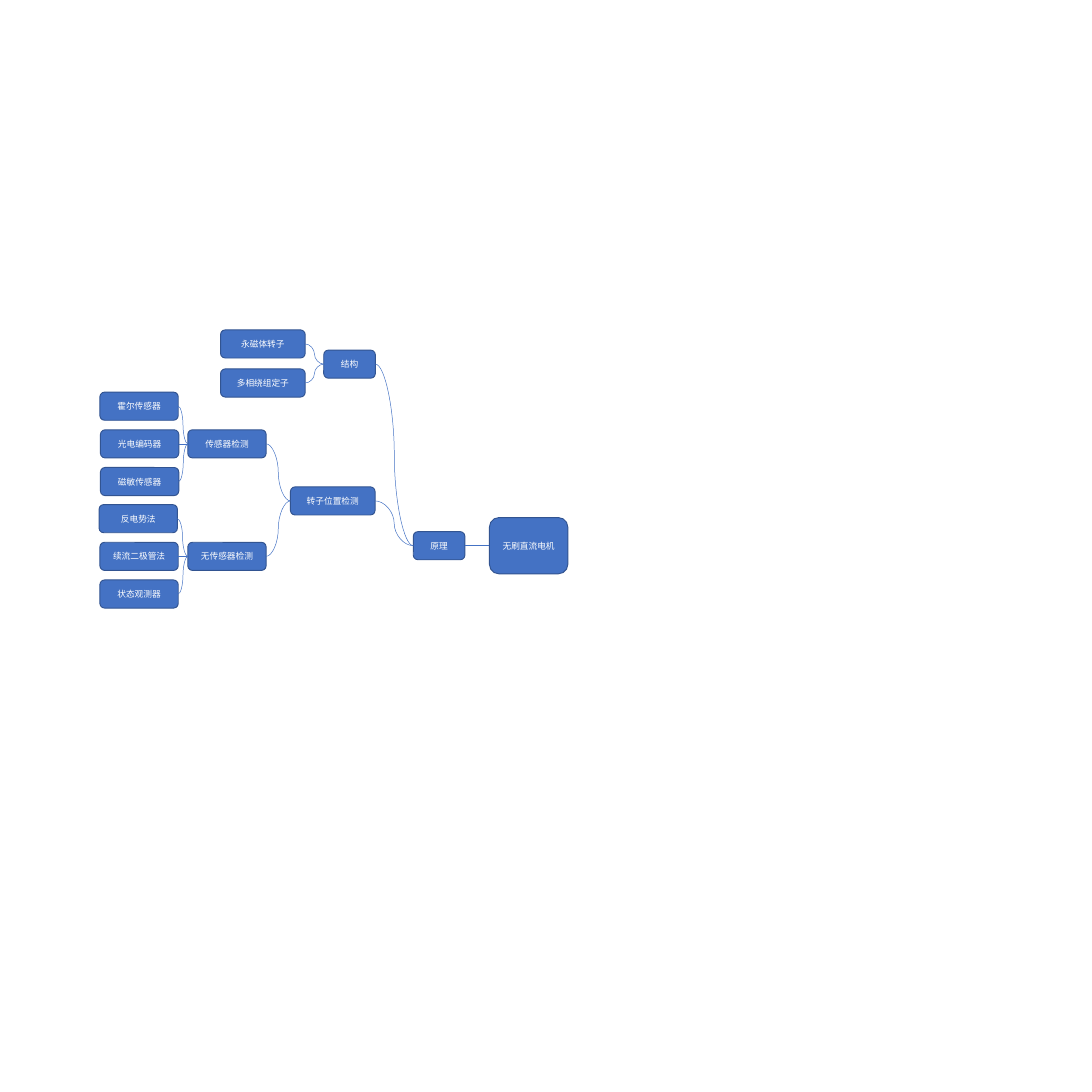
from lxml import etree
from pptx import Presentation
from pptx.dml.color import RGBColor
from pptx.enum.shapes import MSO_CONNECTOR, MSO_SHAPE
from pptx.enum.text import MSO_ANCHOR, PP_ALIGN
from pptx.oxml.ns import qn
from pptx.util import Cm, Pt

BLUE = RGBColor(0x44, 0x72, 0xC4)
DARK_BLUE = RGBColor(0x32, 0x54, 0x91)
WHITE = RGBColor(0xFF, 0xFF, 0xFF)
ROUNDED = MSO_SHAPE.ROUNDED_RECTANGLE
STRAIGHT, CURVE = MSO_CONNECTOR.STRAIGHT, MSO_CONNECTOR.CURVE
CENTER, MIDDLE = PP_ALIGN.CENTER, MSO_ANCHOR.MIDDLE
LEFT_SIDE, RIGHT_SIDE = 1, 3

# Measures in cm
TOPIC_HEIGHT = 1.03
SHORT, MEDIUM, LONG = 1.89, 2.87, 3.1
LEAF_STEP = 1.38
ROOT_Y, SENSOR_Y, SENSORLESS_Y = 19.99, 16.26, 20.38

# Topics: text, parent, left, middle, width, height
topics = [
    ("无刷直流电机", None, 17.93, ROOT_Y, MEDIUM, 2 * TOPIC_HEIGHT),
    ("原理", "无刷直流电机", 15.14, ROOT_Y, SHORT, TOPIC_HEIGHT),
    ("结构", "原理", 11.86, 13.34, SHORT, TOPIC_HEIGHT),
    ("永磁体转子", "结构", 8.08, 12.6, LONG, TOPIC_HEIGHT),
    ("多相绕组定子", "结构", 8.08, 14.03, LONG, TOPIC_HEIGHT),
    ("转子位置检测", "原理", 10.64, 18.35, LONG, TOPIC_HEIGHT),
    ("传感器检测", "转子位置检测", 6.88, SENSOR_Y, MEDIUM, TOPIC_HEIGHT),
    ("无传感器检测", "转子位置检测", 6.88, SENSORLESS_Y, MEDIUM, TOPIC_HEIGHT),
]

# Three detection methods stand evenly around each kind of detection
methods = [
    ("传感器检测", SENSOR_Y,
     [("霍尔传感器", 3.66), ("光电编码器", 3.68), ("磁敏传感器", 3.68)]),
    ("无传感器检测", SENSORLESS_Y,
     [("反电势法", 3.63), ("续流二极管法", 3.66), ("状态观测器", 3.66)]),
]
for detection, detection_y, leaves in methods:
    for row, (method, left) in enumerate(leaves):
        middle = detection_y + (row - 1) * LEAF_STEP
        topics.append((method, detection, left, middle, MEDIUM, TOPIC_HEIGHT))

prs = Presentation()
prs.slide_width = prs.slide_height = Cm(40)
slide = prs.slides.add_slide(prs.slide_layouts[6])

# Topic boxes, each joined to its parent on the right
boxes = {}
middles = {}
for text, parent, left, middle, width, height in topics:
    box = slide.shapes.add_shape(
        ROUNDED, Cm(left), Cm(middle - height / 2), Cm(width), Cm(height))
    box.shadow.inherit = False
    box.fill.solid()
    box.fill.fore_color.rgb = BLUE
    box.line.color.rgb = DARK_BLUE
    box.line.width = Pt(1)
    frame = box.text_frame
    frame.text = text
    frame.vertical_anchor = MIDDLE
    frame.paragraphs[0].alignment = CENTER
    font = frame.paragraphs[0].runs[0].font
    font.name = "Calibri"
    font.size = Pt(9)
    font.color.rgb = WHITE
    boxes[text] = box
    middles[text] = middle

    if parent:
        kind = STRAIGHT if middle == middles[parent] else CURVE
        branch = slide.shapes.add_connector(kind, 0, 0, 0, 0)
        branch.begin_connect(boxes[parent], LEFT_SIDE)
        branch.end_connect(box, RIGHT_SIDE)
        branch.line.color.rgb = BLUE
        branch.line.width = Pt(0.5)
        etree.SubElement(branch._element.spPr, qn("a:effectLst"))

prs.save("out.pptx")
